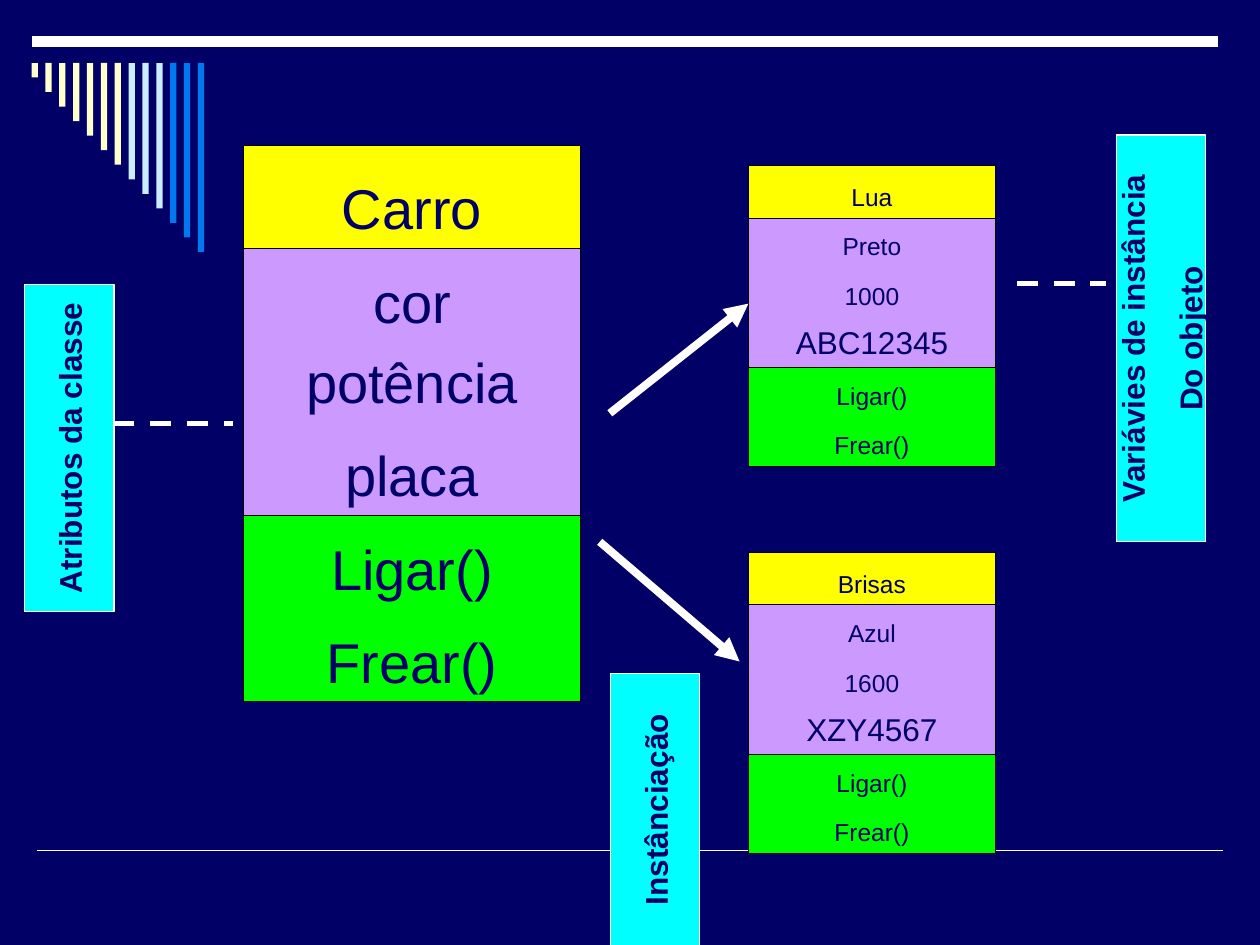
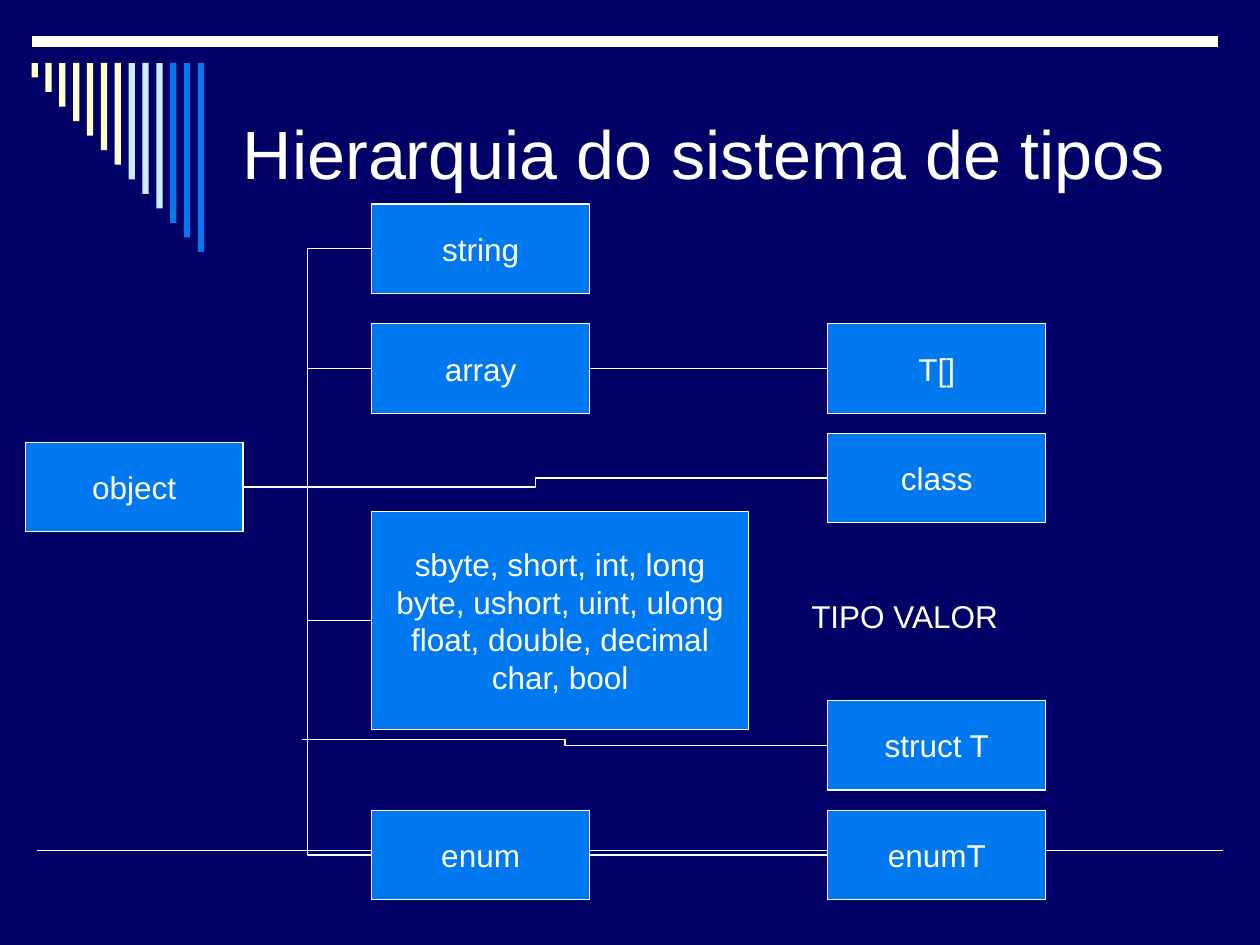
from dataclasses import dataclass
from lxml.etree import SubElement as Sub
from pptx import Presentation as Deck
from pptx.dml.color import RGBColor as RGB
from pptx.enum.dml import MSO_LINE as Dash
from pptx.enum.shapes import MSO_CONNECTOR as Conn, MSO_SHAPE as Kind
from pptx.enum.text import MSO_ANCHOR as Anchor, PP_ALIGN as Align
from pptx.oxml.ns import qn
from pptx.util import Inches, Pt


@dataclass(frozen=True)
class Theme:
    font: str = "Arial"
    navy: str = "000066"
    white: str = "FFFFFF"
    black: str = "000000"
    cream: str = "FFFFCC"
    pale: str = "CCECFF"
    blue: str = "0078F0"
    cyan: str = "00FFFF"
    yellow: str = "FFFF00"
    lilac: str = "CC99FF"
    green: str = "00FF00"
    title: float = 39
    large: float = 32
    body: float = 18
    small: float = 14
    gap: float = 11.2
    thin: float = 0.75
    edge: float = 0.45


T = Theme()
BOX = (1.73, 0.71)
LEFT, RIGHT = 1, 3


# Text and shapes
def paint(fill, color):
    fill.solid()
    fill.fore_color.rgb = RGB.from_string(color)


def write(frame, lines, size, color, align=Align.LEFT, gap=0, bold=False):
    for i, line in enumerate(lines):
        para = frame.paragraphs[0] if i == 0 else frame.add_paragraph()
        para.alignment = align
        para.space_before = Pt(gap)
        run = para.add_run()
        run.text = line
        font = run.font
        font.name, font.size, font.bold = T.font, Pt(size), bold
        font.color.rgb = RGB.from_string(color)


def rect(shapes, x, y, w, h, fill, edge=None):
    shape = shapes.add_shape(Kind.RECTANGLE, Inches(x), Inches(y), Inches(w), Inches(h))
    shape.shadow.inherit = False
    paint(shape.fill, fill)
    if edge:
        paint(shape.line.fill, edge)
        shape.line.width = Pt(T.thin)
    else:
        shape.line.fill.background()
    return shape


def box(slide, x, y, lines, w=BOX[0], h=BOX[1]):
    shape = rect(slide.shapes, x, y, w, h, T.blue, T.white)
    frame = shape.text_frame
    frame.word_wrap = False
    frame.vertical_anchor = Anchor.MIDDLE
    write(frame, lines, T.body, T.white, Align.CENTER)
    return shape


def label(slide, x, y, w, lines):
    shape = rect(slide.shapes, x, y, w, BOX[1], T.cyan, T.white)
    shape.rotation = 270
    frame = shape.text_frame
    frame.word_wrap = False
    frame.vertical_anchor = Anchor.MIDDLE
    write(frame, lines, T.body, T.navy, Align.CENTER, T.gap, True)


def note(slide, x, y, w, h, text, size, anchor=Anchor.TOP, gap=0):
    frame = slide.shapes.add_textbox(Inches(x), Inches(y), Inches(w), Inches(h)).text_frame
    frame.word_wrap = True
    frame.vertical_anchor = anchor
    write(frame, [text], size, T.white, gap=gap)


# Lines and connectors
def line(slide, start, end, width=T.thin, kind=Conn.STRAIGHT, dash=None, arrow=False):
    conn = slide.shapes.add_connector(kind, *map(Inches, (*start, *end)))
    paint(conn.line.fill, T.white)
    conn.line.width = Pt(width)
    if dash:
        conn.line.dash_style = dash
    if arrow:
        Sub(conn.line._get_or_add_ln(), qn("a:tailEnd"), type="triangle")
    Sub(conn._element.spPr, qn("a:effectLst"))
    return conn


def link(slide, a, b, kind=Conn.STRAIGHT):
    conn = line(slide, (0, 0), (1, 1), kind=kind)
    conn.begin_connect(a, RIGHT)
    conn.end_connect(b, LEFT)


# Class and object tables
def border(cell, sides):
    props = cell._tc.get_or_add_tcPr()
    for side in "LRTB":
        ln = Sub(props, qn(f"a:ln{side}"), w=str(Pt(T.edge)))
        if side in sides:
            fill = Sub(ln, qn("a:solidFill"))
            Sub(fill, qn("a:srgbClr"), val=T.black)
        else:
            Sub(ln, qn("a:noFill"))


def card(slide, x, y, w, heights, rows, sizes):
    fills = [T.yellow] + [T.lilac] * 3 + [T.green] * 2
    count = len(rows)
    table = slide.shapes.add_table(
        count, 1, Inches(x), Inches(y), Inches(w), Inches(sum(heights))).table
    table.columns[0].width = Inches(w)
    for i, (text, size, fill) in enumerate(zip(rows, sizes, fills)):
        table.rows[i].height = Inches(heights[i])
        cell = table.cell(i, 0)
        top = "T" if i == 0 or fills[i - 1] != fill else ""
        base = "B" if i == count - 1 or fills[i + 1] != fill else ""
        border(cell, "LR" + top + base)
        paint(cell.fill, fill)
        cell.vertical_anchor = Anchor.BOTTOM
        write(cell.text_frame, [text], size, T.navy, Align.CENTER)


# Shared frame: two rules and a fan of stripes
def base(deck):
    slide = deck.slides.add_slide(deck.slide_layouts[6])
    line(slide, (0.29, 6.75), (9.71, 6.75), 1)
    line(slide, (0.25, 0.33), (9.67, 0.33), 6)
    fan = slide.shapes.add_group_shape()
    for i, color in enumerate([T.cream] * 7 + [T.pale] * 3 + [T.blue] * 3):
        rect(fan.shapes, 0.25 + 0.11 * i, 0.5, 0.05, 1.5 * (i + 1) / 13, color)
    return slide


def cars(deck):
    slide = base(deck)
    acts = ["Ligar()", "Frear()"]
    card(slide, 1.93, 1.15, 2.68, [0.82, 0.74, 0.64, 0.74, 0.74, 0.74],
         ["Carro", "cor", "potência", "placa", *acts], [T.large] * 6)
    sizes = [T.small] * 3 + [T.body] + [T.small] * 2
    for y, facts in ((1.31, ["Lua", "Preto", "1000", "ABC12345"]),
                     (4.38, ["Brisas", "Azul", "1600", "XZY4567"])):
        card(slide, 5.94, y, 1.96, [0.42, 0.39, 0.4, 0.4, 0.39, 0.39],
             facts + acts, sizes)
    line(slide, (4.84, 3.28), (5.94, 2.41), 4.5, arrow=True)
    line(slide, (4.76, 4.3), (5.87, 5.25), 4.5, arrow=True)
    label(slide, -0.75, 3.2, 2.6, ["Atributos da classe"])
    label(slide, 7.6, 2.33, 3.23, ["Variávies de instância", "Do objeto"])
    label(slide, 4.12, 6.07, 2.16, ["Instânciação"])
    line(slide, (8.07, 2.25), (8.78, 2.25), 3, dash=Dash.DASH)
    line(slide, (0.9, 3.36), (1.85, 3.36), 3, dash=Dash.DASH)


def types(deck):
    slide = base(deck)
    note(slide, 1.83, 0.5, 7.67, 1.42, "Hierarquia do sistema de tipos",
         T.title, Anchor.MIDDLE)
    # Type boxes in three columns
    mid, far = 2.95, 6.57
    root = box(slide, 0.2, 3.51, ["object"])
    text = box(slide, mid, 1.62, ["string"])
    array = box(slide, mid, 2.57, ["array"])
    items = box(slide, far, 2.57, ["T[]"])
    klass = box(slide, far, 3.44, ["class"])
    plain = box(slide, mid, 4.06, ["sbyte, short, int, long", "byte, ushort, uint, ulong",
                                   "float, double, decimal", "char, bool"], 2.99, 1.73)
    note(slide, 6.34, 4.69, 2.05, 0.4, "TIPO VALOR", T.body, gap=T.gap)
    struct = box(slide, far, 5.56, ["struct T"])
    enum_t = box(slide, far, 6.43, ["enumT"])
    enum = box(slide, mid, 6.43, ["enum"])
    # Tree links
    for child in (text, array, plain, enum, klass):
        link(slide, root, child, Conn.ELBOW)
    link(slide, array, items)
    link(slide, enum, enum_t)
    stem = line(slide, (2.4, 5.87), (far, 5.91), kind=Conn.ELBOW)
    stem.end_connect(struct, LEFT)


def main():
    deck = Deck()
    deck.slide_width, deck.slide_height = Inches(10), Inches(7.5)
    paint(deck.slide_master.background.fill, T.navy)
    cars(deck)
    types(deck)
    deck.save("out.pptx")


if __name__ == "__main__":
    main()
